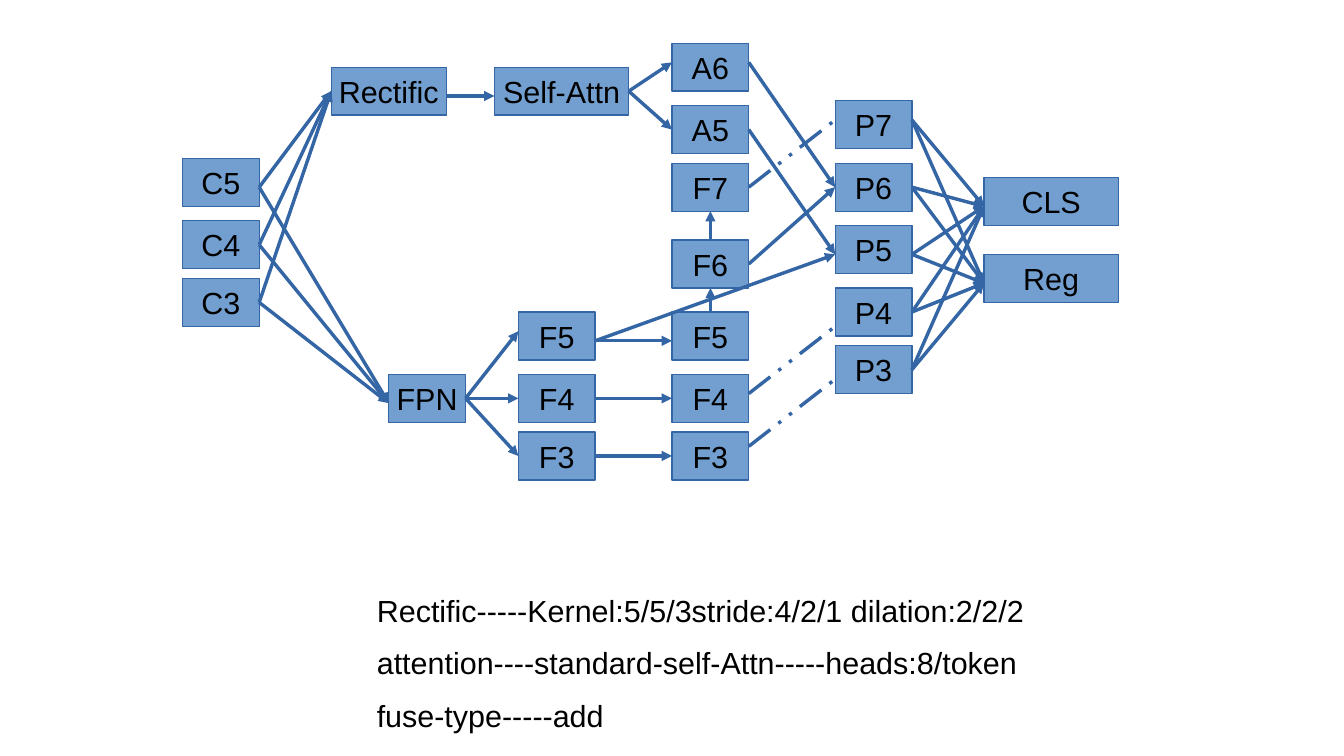
from itertools import product

from lxml.etree import SubElement
from pptx import Presentation
from pptx.dml.color import RGBColor
from pptx.enum.dml import MSO_LINE
from pptx.enum.shapes import MSO_CONNECTOR, MSO_SHAPE
from pptx.enum.text import MSO_ANCHOR, MSO_AUTO_SIZE, PP_ALIGN
from pptx.oxml.ns import qn
from pptx.util import Inches, Pt

COLORS = {"fill": "729FCF", "line": "3465A4", "text": "000000"}


class Diagram:
    """Draw boxes, links and notes on a slide with a grid of 280 columns and 157.5 rows."""

    font_name = "Arial"
    font_size = Pt(18)
    line_width = Pt(0)
    box_columns, box_rows = 16, 10

    def __init__(self, deck):
        self.slide = deck.slides.add_slide(deck.slide_layouts[6])
        self.column = deck.slide_width / 280
        self.row = deck.slide_height / 157.5

    def area(self, left, top, columns, rows):
        return (round(left * self.column), round(top * self.row),
                round(columns * self.column), round(rows * self.row))

    def color(self, name):
        return RGBColor.from_string(COLORS[name])

    def label(self, shape, text, alignment):
        frame = shape.text_frame
        frame.text = text
        frame.word_wrap = False
        para = frame.paragraphs[0]
        para.alignment = alignment
        for span in para.runs:
            span.font.name = self.font_name
            span.font.size = self.font_size
            span.font.color.rgb = self.color("text")

    def box(self, text, left, top, columns=box_columns):
        box = self.slide.shapes.add_shape(
            MSO_SHAPE.RECTANGLE, *self.area(left, top, columns, self.box_rows))
        box.shadow.inherit = False
        box.fill.solid()
        box.fill.fore_color.rgb = self.color("fill")
        box.line.color.rgb = self.color("line")
        box.line.width = self.line_width
        box.text_frame.vertical_anchor = MSO_ANCHOR.MIDDLE
        self.label(box, text, PP_ALIGN.CENTER)
        return box

    def stack(self, left, tops):
        return {text: self.box(text, left, top) for text, top in tops.items()}

    def line(self, start, end, arrow=True):
        line = self.slide.shapes.add_connector(MSO_CONNECTOR.STRAIGHT, *start, *end)
        line.line.color.rgb = self.color("line")
        line.line.width = self.line_width
        properties = line._element.spPr
        if arrow:
            SubElement(properties.get_or_add_ln(), qn("a:tailEnd"), type="triangle")
        else:
            line.line.dash_style = MSO_LINE.DASH_DOT_DOT
        SubElement(properties, qn("a:effectLst"))

    def link(self, source, target, leave=5, arrive=5, arrow=True):
        self.line((source.left + source.width, source.top + round(leave * self.row)),
                  (target.left, target.top + round(arrive * self.row)), arrow)

    def rise(self, source, target):
        center = source.left + source.width // 2
        self.line((center, source.top), (center, target.top + target.height))

    def note(self, text, left, top, columns):
        note = self.slide.shapes.add_textbox(*self.area(left, top, columns, 9.65))
        note.text_frame.auto_size = MSO_AUTO_SIZE.SHAPE_TO_FIT_TEXT
        self.label(note, text, PP_ALIGN.LEFT)


def main():
    deck = Presentation()
    deck.slide_width, deck.slide_height = Inches(11.02), Inches(6.2)
    page = Diagram(deck)

    backbone = page.stack(38, {"C5": 33, "C4": 46, "C3": 58})
    rectific = page.box("Rectific", 69, 14, 24)
    attention = page.box("Self-Attn", 103, 14, 28)
    pyramid = page.box("FPN", 81, 78)
    pyramid_rows = {"F5": 65, "F4": 78, "F3": 90}
    features = page.stack(108, pyramid_rows)
    fused = page.stack(140, {"A6": 9, "A5": 22, "F7": 34, "F6": 50, **pyramid_rows})
    outputs = page.stack(174, {"P7": 21, "P6": 34, "P5": 47, "P4": 60, "P3": 72})
    heads = [page.box("CLS", 205, 37, 28), page.box("Reg", 205, 53, 28)]

    for target, arrive in ((pyramid, 6), (rectific, 5)):
        for name, box in backbone.items():
            page.link(box, target, 6 if name == "C5" else 5, arrive)
    page.link(rectific, attention, 6, 6)
    for name, arrive in (("A6", 4), ("A5", 5)):
        page.link(attention, fused[name], 5, arrive)
    for name, arrive, leave in (("F5", 4, 6), ("F4", 5, 5), ("F3", 5, 5)):
        page.link(pyramid, features[name], 5, arrive)
        page.link(features[name], fused[name], leave, leave)
    page.rise(fused["F5"], fused["F6"])
    page.rise(fused["F6"], fused["F7"])

    for source, target, leave, arrive in (
            (fused["A6"], "P6", 4, 5), (fused["F6"], "P6", 5, 5),
            (fused["A5"], "P5", 5, 6), (features["F5"], "P5", 6, 6)):
        page.link(source, outputs[target], leave, arrive)
    for source, target, leave, arrive in (
            ("F7", "P7", 5, 4), ("F4", "P4", 4, 8), ("F3", "P3", 3, 7)):
        page.link(fused[source], outputs[target], leave, arrive, arrow=False)
    output_ports = {"P7": 4, "P5": 6}
    for head, (name, box) in product(heads, outputs.items()):
        page.link(box, head, output_ports.get(name, 5), 6)

    notes = (("Rectific-----Kernel:5/5/3stride:4/2/1 dilation:2/2/2", 140),
             ("attention----standard-self-Attn-----heads:8/token", 138.5),
             ("fuse-type-----add", 78.75))
    for index, (text, columns) in enumerate(notes):
        page.note(text, 76, 122 + 11 * index, columns)

    deck.save("out.pptx")


if __name__ == "__main__":
    main()
